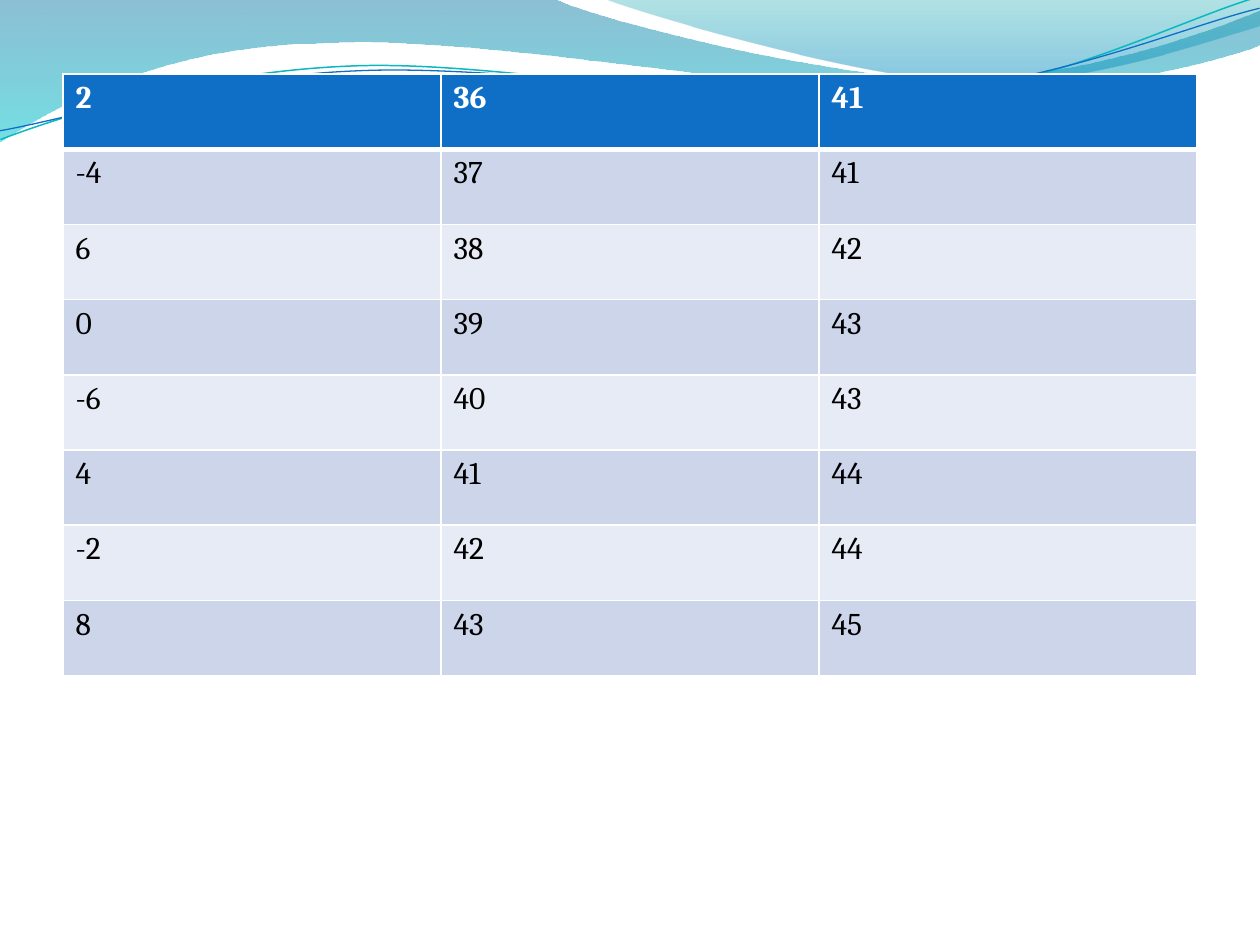
"""Builds a slide with a three-column number table under a wave banner."""
from lxml.etree import SubElement
from pptx import Presentation
from pptx.dml.color import RGBColor as Color
from pptx.oxml import parse_xml
from pptx.oxml.ns import nsdecls, qn
from pptx.util import Pt

SCALE = 914400 / 126
COLORS = {
    "white": "FFFFFF", "black": "000000", "blue": "0F6FC6", "teal": "0AB8BF",
    "band_dark": "CCD5EA", "band_light": "E7EBF5",
    "wave_top": "0074A1", "wave_bottom": "00C6CF",
    "crest_top": "00A1A9", "crest_bottom": "008BBF",
}
BACK_WAVE = [
    [(0, 0)], [(554, -1)],
    [(600, 21), (837, 79), (955, 79)], [(1075, 79), (1207, 33), (1260, 11)],
    [(1261, 45)],
    [(1239, 55), (1096, 96), (940, 94)], [(784, 94), (481, 35), (324, 43)],
    [(163, 45), (58, 105), (-1, 142)], [(0, 0)],
]
FRONT_WAVE = [
    [(604, -1)], [(641, 14), (859, 78), (969, 82)],
    [(1079, 87), (1211, 40), (1260, 26)], [(1260, 0)], [(604, -1)],
]
TEAL_LINE = [
    [(-2, 110)], [(58, 90), (199, 52), (350, 53)],
    [(499, 53), (745, 117), (896, 114)], [(1049, 109), (1184, 45), (1260, 27)],
]
BLUE_LINE = [
    [(-2, 101)], [(57, 94), (207, 57), (357, 58)],
    [(509, 58), (750, 112), (902, 107)], [(1052, 104), (1188, 52), (1262, 38)],
]
LINE_ROTATION = 357.3
ROWS = [
    ("2", "36", "41"), ("-4", "37", "41"), ("6", "38", "42"), ("0", "39", "43"),
    ("-6", "40", "43"), ("4", "41", "44"), ("-2", "42", "44"), ("8", "43", "45"),
]


def px(length):
    return round(length * SCALE)


def color(name):
    return Color.from_string(COLORS[name])


class SlideBuilder:
    def __init__(self, slide, font="Cambria", size=18):
        self.slide = slide
        self.font = font
        self.size = size

    def freeform(self, outline, close):
        start, *points = [(px(x), px(y)) for part in outline for x, y in part]
        builder = self.slide.shapes.build_freeform(*start, scale=1.0)
        builder.add_line_segments(points, close=close)
        shape = builder.convert_to_shape()
        shape.shadow.inherit = False
        self.bend(shape, outline[1:])
        return shape

    def bend(self, shape, parts):
        segments = iter(shape.element.xpath(".//a:lnTo"))
        for part in parts:
            group = [next(segments) for _ in part]
            if len(group) == 3:
                bezier = parse_xml(f'<a:cubicBezTo {nsdecls("a")}/>')
                group[0].addprevious(bezier)
                for segment in group:
                    bezier.append(segment[0])
                    segment.getparent().remove(segment)

    def wave(self, outline, stops):
        shape = self.freeform(outline, True)
        shape.line.fill.background()
        shape.fill.gradient()
        shape.fill.gradient_angle = 270
        for stop, (position, name, _) in zip(shape.fill.gradient_stops, stops):
            stop.position = position
            stop.color.rgb = color(name)
        tints = shape.element.xpath(".//a:gs/a:srgbClr")
        for tint, (_, _, opacity) in zip(tints, stops):
            SubElement(tint, qn("a:alpha"), val=str(opacity * 1000))

    def curve(self, outline, name, width):
        shape = self.freeform(outline, False)
        shape.rotation = LINE_ROTATION
        shape.fill.background()
        shape.line.color.rgb = color(name)
        shape.line.width = Pt(width)

    def borders(self, cell, widths):
        properties = cell._tc.get_or_add_tcPr()
        for index, (side, width) in enumerate(widths.items()):
            properties.insert(index, parse_xml(
                f'<a:ln{side} {nsdecls("a")} w="{Pt(width)}"><a:solidFill>'
                f'<a:srgbClr val="{COLORS["white"]}"/></a:solidFill></a:ln{side}>'))

    def table(self, rows, left, top, width, height):
        frame = self.slide.shapes.add_table(
            len(rows), len(rows[0]), px(left), px(top), px(width), px(height))
        for row, texts in enumerate(rows):
            header = row == 0
            band = "blue" if header else ("band_light", "band_dark")[row % 2]
            widths = {"L": 1, "R": 1, "T": 3 if row == 1 else 1, "B": 3 if header else 1}
            for column, text in enumerate(texts):
                cell = frame.table.cell(row, column)
                cell.text = text
                cell.fill.solid()
                cell.fill.fore_color.rgb = color(band)
                self.borders(cell, widths)
                font = cell.text_frame.paragraphs[0].font
                font.name = self.font
                font.size = Pt(self.size)
                font.bold = header
                font.color.rgb = color("white" if header else "black")


def main():
    presentation = Presentation()
    presentation.slide_width = px(1260)
    presentation.slide_height = px(945)
    builder = SlideBuilder(presentation.slides.add_slide(presentation.slide_layouts[6]))
    builder.wave(BACK_WAVE, [(0, "wave_top", 45), (1, "wave_bottom", 55)])
    builder.wave(FRONT_WAVE, [(0, "crest_top", 30), (0.8, "crest_bottom", 45)])
    builder.curve(TEAL_LINE, "teal", 0.85)
    builder.curve(BLUE_LINE, "blue", 0.75)
    builder.table(ROWS, 63, 74, 1134, 602)
    presentation.save("out.pptx")


if __name__ == "__main__":
    main()
